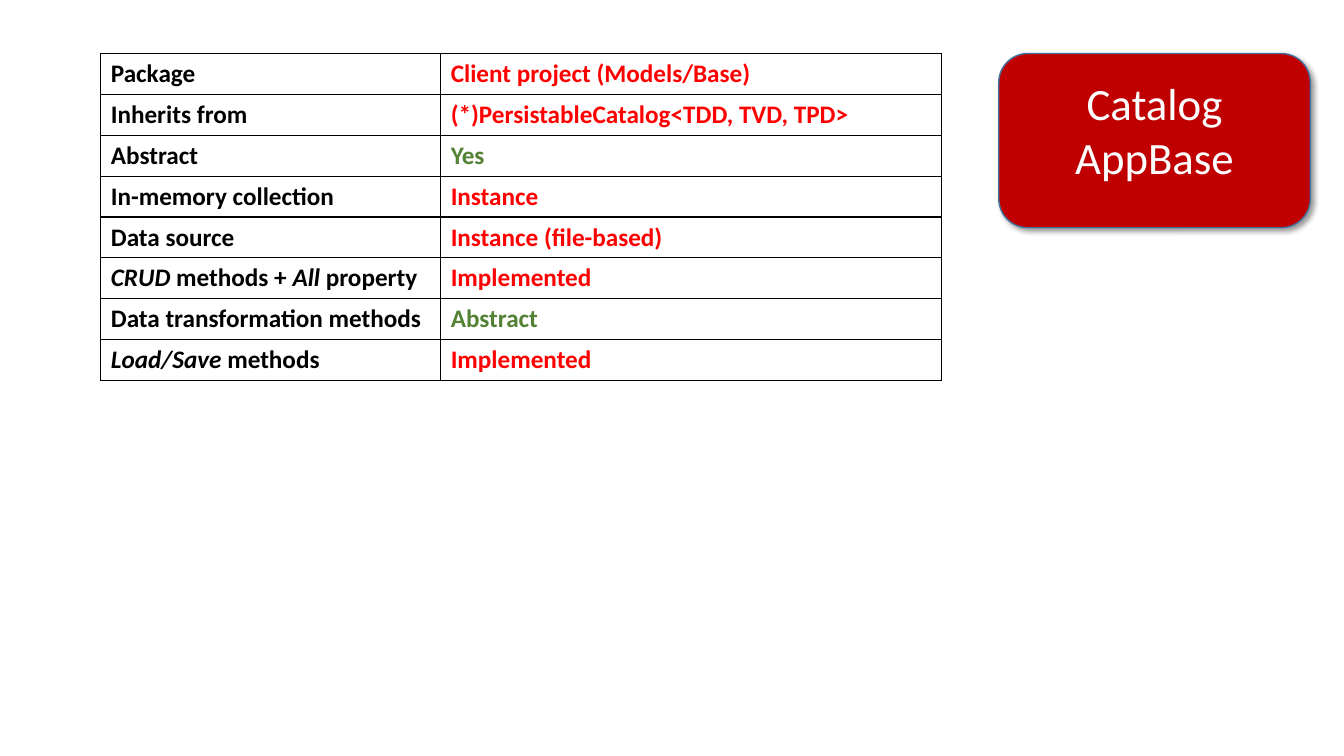
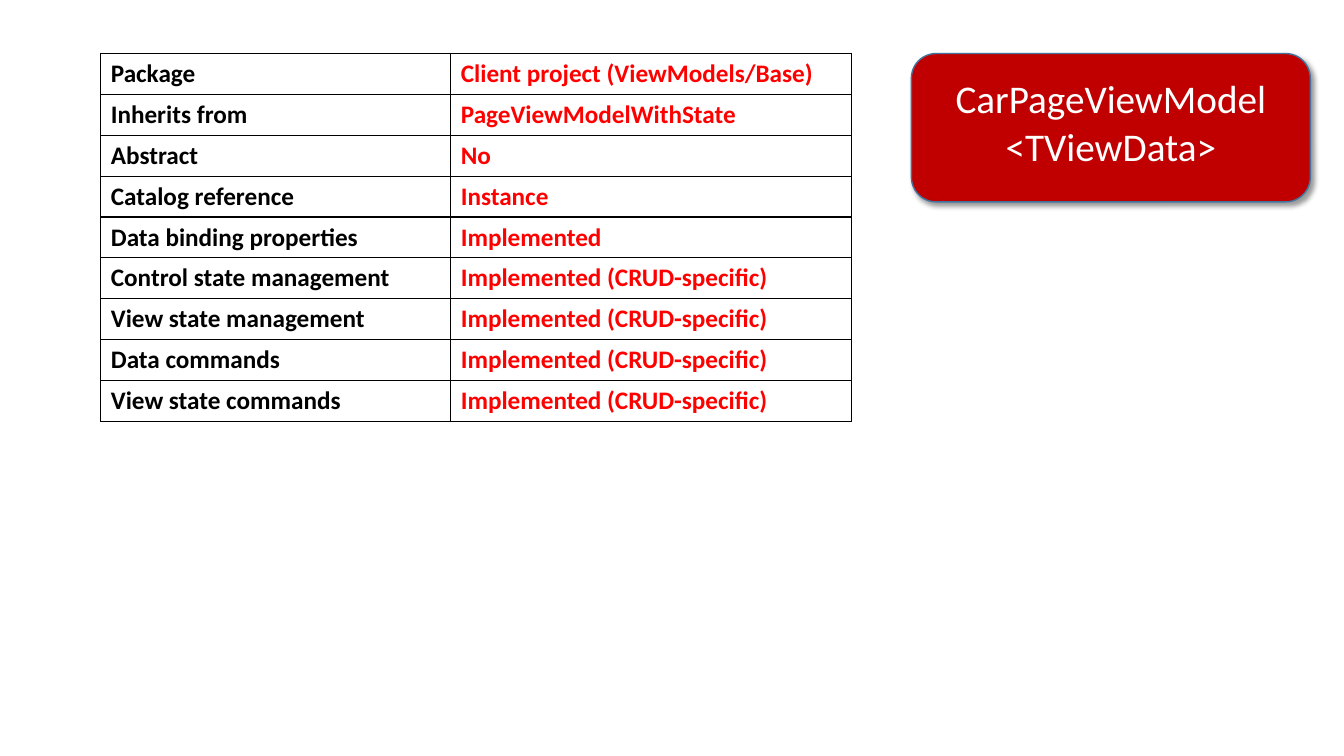
from dataclasses import dataclass

from pptx import Presentation
from pptx.dml.color import RGBColor
from pptx.enum.shapes import MSO_SHAPE as Shape
from pptx.enum.text import MSO_ANCHOR as Anchor, PP_ALIGN as Align
from pptx.oxml import parse_xml
from pptx.oxml.ns import nsdecls, qn
from pptx.slide import Slide
from pptx.table import _Cell as Cell
from pptx.util import Pt

COLORS = {
    "white": "FFFFFF",
    "black": "000000",
    "box": "C00000",
    "edge": "43739E",
    "red": "FF0000",
    "green": "548235",
}
FONT = "Calibri"
LEFT, TOP, RIGHT = 72, 38.2, 936
ROW = 29.2


@dataclass(frozen=True)
class Row:
    """Underscores in the label enclose italic words."""
    label: str
    value: str
    tone: str = "red"


@dataclass(frozen=True)
class Badge:
    lines: tuple[str, ...]
    width: float
    height: float
    size: float


@dataclass(frozen=True)
class Page:
    badge: Badge
    cols: tuple[float, float]
    rows: tuple[Row, ...]


CRUD = "Implemented (CRUD-specific)"
PAGES = (
    Page(
        Badge(("Catalog", "AppBase"), 222.6, 124.5, 32),
        (242.8, 358),
        (
            Row("Package", "Client project (Models/Base)"),
            Row("Inherits from", "(*)PersistableCatalog<TDD, TVD, TPD>"),
            Row("Abstract", "Yes", "green"),
            Row("In-memory collection", "Instance"),
            Row("Data source", "Instance (file-based)"),
            Row("_CRUD_ methods + _All_ property", "Implemented"),
            Row("Data transformation methods", "Abstract", "green"),
            Row("_Load/Save_ methods", "Implemented"),
        ),
    ),
    Page(
        Badge(("CarPageViewModel", "<TViewData>"), 285, 106, 28),
        (250, 286),
        (
            Row("Package", "Client project (ViewModels/Base)"),
            Row("Inherits from", "PageViewModelWithState"),
            Row("Abstract", "No"),
            Row("Catalog reference", "Instance"),
            Row("Data binding properties", "Implemented"),
            Row("Control state management", CRUD),
            Row("View state management", CRUD),
            Row("Data commands", CRUD),
            Row("View state commands", CRUD),
        ),
    ),
)


def color(name: str) -> RGBColor:
    return RGBColor.from_string(COLORS[name])


def style(para, size: float, tone: str, bold: bool = False) -> None:
    font = para.font
    font.name, font.size, font.bold = FONT, Pt(size), bold
    font.color.rgb = color(tone)


def add_badge(slide: Slide, badge: Badge) -> None:
    box = slide.shapes.add_shape(
        Shape.ROUNDED_RECTANGLE, Pt(RIGHT - badge.width), Pt(TOP),
        Pt(badge.width), Pt(badge.height))
    box.fill.solid()
    box.fill.fore_color.rgb = color("box")
    box.line.color.rgb = color("edge")
    box.line.width = Pt(1)
    box.shadow.inherit = False
    box._element.spPr.find(qn("a:effectLst")).append(parse_xml(
        f'<a:outerShdw {nsdecls("a")} blurRad="{Pt(4)}" dist="{Pt(3)}" '
        'dir="2700000" algn="tl" rotWithShape="0">'
        f'<a:srgbClr val="{COLORS["black"]}"><a:alpha val="40000"/>'
        '</a:srgbClr></a:outerShdw>'))
    frame = box.text_frame
    frame.word_wrap = True
    frame.vertical_anchor = Anchor.TOP
    frame.margin_top = Pt(10)
    frame.text = "\n".join(badge.lines)
    for para in frame.paragraphs:
        para.alignment = Align.CENTER
        style(para, badge.size, "white")


def fill_cell(cell: Cell, text: str, tone: str) -> None:
    props = cell._tc.get_or_add_tcPr()
    for side in "LRTB":
        props.append(parse_xml(
            f'<a:ln{side} {nsdecls("a")} w="{Pt(1)}"><a:solidFill>'
            f'<a:srgbClr val="{COLORS["black"]}"/></a:solidFill></a:ln{side}>'))
    cell.fill.background()
    para = cell.text_frame.paragraphs[0]
    style(para, 18, tone, bold=True)
    for pos, part in enumerate(text.split("_")):
        if part:
            run = para.add_run()
            run.text = part
            if pos % 2:
                run.font.italic = True


def add_grid(slide: Slide, page: Page) -> None:
    table = slide.shapes.add_table(
        len(page.rows), len(page.cols), Pt(LEFT), Pt(TOP),
        Pt(sum(page.cols)), Pt(ROW * len(page.rows))).table
    table.first_row = table.horz_banding = False
    for col, width in zip(table.columns, page.cols):
        col.width = Pt(width)
    for line, row in zip(table.rows, page.rows):
        line.height = Pt(ROW)
        fill_cell(line.cells[0], row.label, "black")
        fill_cell(line.cells[1], row.value, row.tone)


def main() -> None:
    deck = Presentation()
    deck.slide_width, deck.slide_height = Pt(960), Pt(540)
    blank = deck.slide_layouts[6]
    for page in PAGES:
        slide = deck.slides.add_slide(blank)
        add_badge(slide, page.badge)
        add_grid(slide, page)
    deck.save("out.pptx")


if __name__ == "__main__":
    main()
